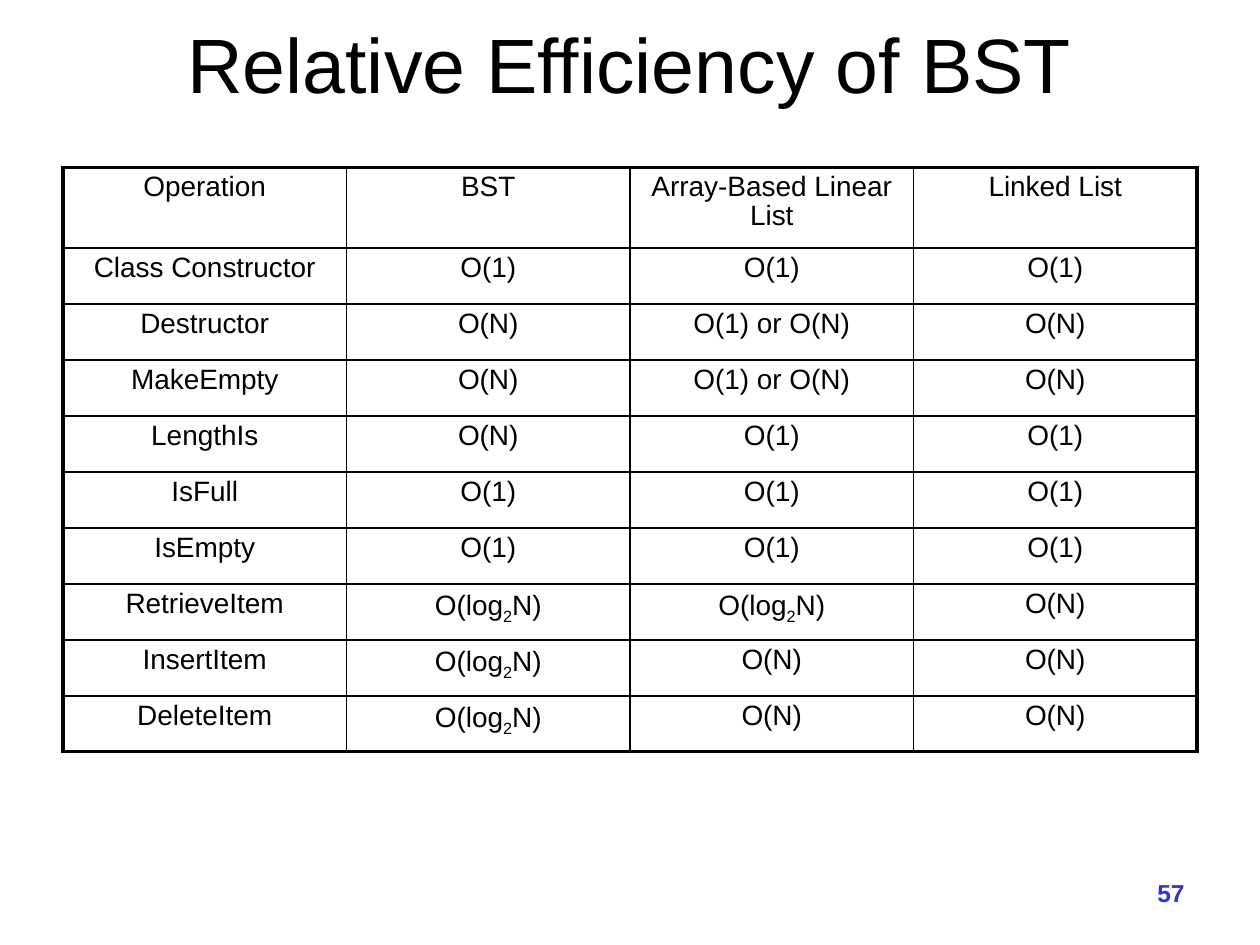
"""Build the slide comparing the efficiency of binary search trees and lists."""
import lxml.etree
import pptx
import pptx.dml.color
import pptx.enum.text
import pptx.oxml
import pptx.oxml.ns
import pptx.util

ALIGN = pptx.enum.text.PP_ALIGN
ANCHOR = pptx.enum.text.MSO_ANCHOR
INK = "000000"
THIN, THICK = 0.96, 2.21
ROWS = [
    ["Operation", "BST", "Array-Based Linear List", "Linked List"],
    ["Class Constructor", "O(1)", "O(1)", "O(1)"],
    ["Destructor", "O(N)", "O(1) or O(N)", "O(N)"],
    ["MakeEmpty", "O(N)", "O(1) or O(N)", "O(N)"],
    ["LengthIs", "O(N)", "O(1)", "O(1)"],
    ["IsFull", "O(1)", "O(1)", "O(1)"],
    ["IsEmpty", "O(1)", "O(1)", "O(1)"],
    ["RetrieveItem", "O(log_2_N)", "O(log_2_N)", "O(N)"],
    ["InsertItem", "O(log_2_N)", "O(N)", "O(N)"],
    ["DeleteItem", "O(log_2_N)", "O(N)", "O(N)"],
]


def color(value):
    return pptx.dml.color.RGBColor.from_string(value)


def write(frame, text, size, ink, bold, layout):
    """Write one paragraph, with the parts between underscores as subscripts."""
    para = frame.paragraphs[0]
    for name, value in layout.items():
        setattr(para, name, value)
    for index, part in enumerate(text.split("_")):
        span = para.add_run()
        span.text = part
        font = {"name": "Arial", "size": pptx.util.Pt(size), "bold": bold}
        for name, value in font.items():
            setattr(span.font, name, value)
        span.font.color.rgb = color(ink)
        if index % 2:
            span.font._element.set("baseline", "-25000")


deck = pptx.Presentation()
deck.slide_width = pptx.util.Inches(10)
deck.slide_height = pptx.util.Inches(7.5)
page = deck.slides.add_slide(deck.slide_layouts[6])

labels = [
    ("Relative Efficiency of BST", (0.75, 0.08, 8.5, 0.84), 44, INK, False, ALIGN.CENTER, ANCHOR.MIDDLE),
    ("57", (7.42, 6.92, 2.08, 0.41), 14, "3333CC", True, ALIGN.RIGHT, ANCHOR.TOP),
]
for text, place, size, ink, bold, alignment, anchor in labels:
    box = page.shapes.add_textbox(*map(pptx.util.Inches, place))
    for name, value in {"word_wrap": True, "vertical_anchor": anchor}.items():
        setattr(box.text_frame, name, value)
    write(box.text_frame, text, size, ink, bold, {"alignment": alignment})

width, height, header = 9, 4.64, 0.64
last_row, last_column = len(ROWS) - 1, len(ROWS[0]) - 1
place = map(pptx.util.Inches, (0.5, 1.33, width, height))
table = page.shapes.add_table(last_row + 1, last_column + 1, *place).table
for name in ("first_row", "horz_banding"):
    setattr(table, name, False)
for column in table.columns:
    column.width = pptx.util.Inches(width / (last_column + 1))
for index, row in enumerate(table.rows):
    row.height = pptx.util.Inches((height - header) / last_row if index else header)

for row, texts in enumerate(ROWS):
    for column, text in enumerate(texts):
        cell = table.cell(row, column)
        write(cell.text_frame, text, 16, INK, False, {"alignment": ALIGN.CENTER, "line_spacing": 0.93})
        cell.fill.background()
        outer = {"L": column == 0, "R": column == last_column, "T": row == 0, "B": row == last_row}
        for index, (side, is_outer) in enumerate(outer.items()):
            line = pptx.oxml.parse_xml(
                f'<a:ln{side} {pptx.oxml.ns.nsdecls("a")} w="{pptx.util.Pt(THICK if is_outer else THIN)}">'
                f'<a:solidFill><a:srgbClr val="{color(INK)}"/></a:solidFill></a:ln{side}>'
            )
            cell._tc.get_or_add_tcPr().insert(index, line)

deck.save("out.pptx")
